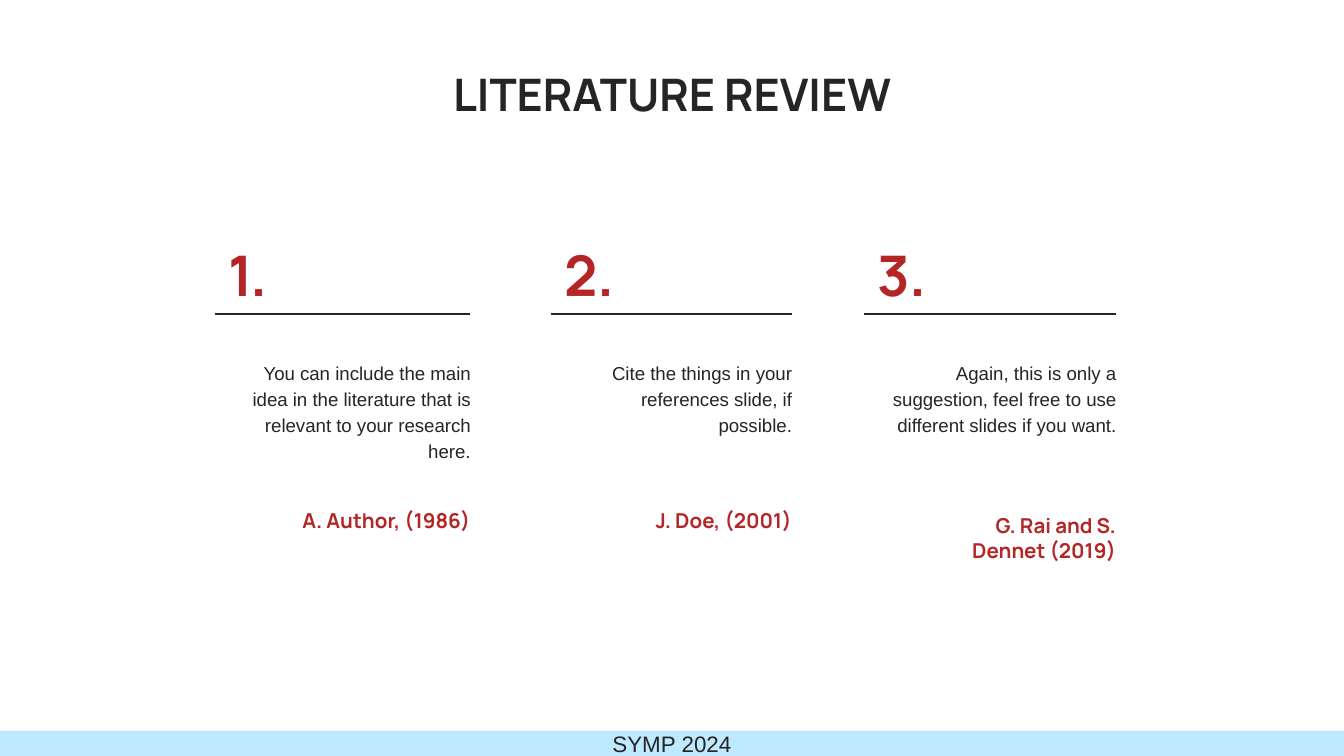
from lxml import etree
from pptx import Presentation
from pptx.dml.color import RGBColor
from pptx.enum import shapes, text
from pptx.oxml import ns
from pptx.util import Pt

# Content
TITLE = "LITERATURE REVIEW"
FOOTER = "SYMP 2024"
# number, idea, author, left and right of the column, body left, author top
ITEMS = [
    ("1.", "You can include the main idea in the literature that is relevant to your research here.",
     "A. Author, (1986)", 115.2, 259.2, 115.2, 263.5),
    ("2.", "Cite the things in your references slide, if possible.",
     "J. Doe, (2001)", 295.2, 431.3, 295.2, 263.5),
    ("3.", "Again, this is only a suggestion, feel free to use different slides if you want.",
     "G. Rai and S. Dennet (2019)", 463, 605, 468.9, 272.9),
]
COLORS = {"dark": "252525", "red": "B42526", "sky": "BEE9FE"}
HEAD, BODY = "Manrope", "Arial"
WIDE, HIGH = 720, 405
INSET = 7.2
RULE = 168.3
ALIGN, ANCHOR = text.PP_ALIGN, text.MSO_ANCHOR

deck = Presentation()
deck.slide_width, deck.slide_height = Pt(WIDE), Pt(HIGH)
slide = deck.slides.add_slide(deck.slide_layouts[6])


def color(name):
    return RGBColor.from_string(COLORS[name])


def write(words, box, size, font=HEAD, tint="dark", bold=True,
          align=ALIGN.LEFT, anchor=ANCHOR.TOP, space=1.0, inset=INSET, fill=None):
    area = [Pt(n) for n in box]
    if fill:
        shape = slide.shapes.add_shape(shapes.MSO_SHAPE.RECTANGLE, *area)
        shape.shadow.inherit = False
        shape.fill.solid()
        shape.fill.fore_color.rgb = color(fill)
        shape.line.fill.background()
    else:
        shape = slide.shapes.add_textbox(*area)
    frame = shape.text_frame
    frame.word_wrap = True
    frame.vertical_anchor = anchor
    frame.margin_left = frame.margin_right = Pt(inset)
    frame.margin_top = frame.margin_bottom = Pt(inset)
    para = frame.paragraphs[0]
    para.alignment, para.line_spacing = align, space
    run = para.add_run()
    run.text = words
    run.font.name, run.font.size, run.font.bold = font, Pt(size), bold
    run.font.color.rgb = color(tint)


# Footer band and title
write(FOOTER, (0, 391.6, WIDE, 13.4), 12, font=BODY, bold=False,
      align=ALIGN.CENTER, anchor=ANCHOR.MIDDLE, inset=0, fill="sky")
write(TITLE, (96, 21.6, 528, 50.4), 24, align=ALIGN.CENTER, anchor=ANCHOR.BOTTOM)

# Columns: number, rule, idea, author
for num, idea, name, left, right, start, top in ITEMS:
    write(num, (left, 141.8, 50, 30.2), 30, tint="red", anchor=ANCHOR.BOTTOM)
    rule = slide.shapes.add_connector(
        shapes.MSO_CONNECTOR.STRAIGHT, Pt(left), Pt(RULE), Pt(right - INSET), Pt(RULE))
    rule.line.width = Pt(0.75)
    rule.line.color.rgb = color("dark")
    etree.SubElement(rule._element.spPr, ns.qn("a:effectLst"))
    write(idea, (start, 185, right - start, 75.6), 10, font=BODY, bold=False,
          align=ALIGN.RIGHT, space=1.15)
    write(name, (right - 108, top, 108, 30.2), 11, tint="red",
          align=ALIGN.RIGHT, anchor=ANCHOR.MIDDLE)

deck.save("out.pptx")
